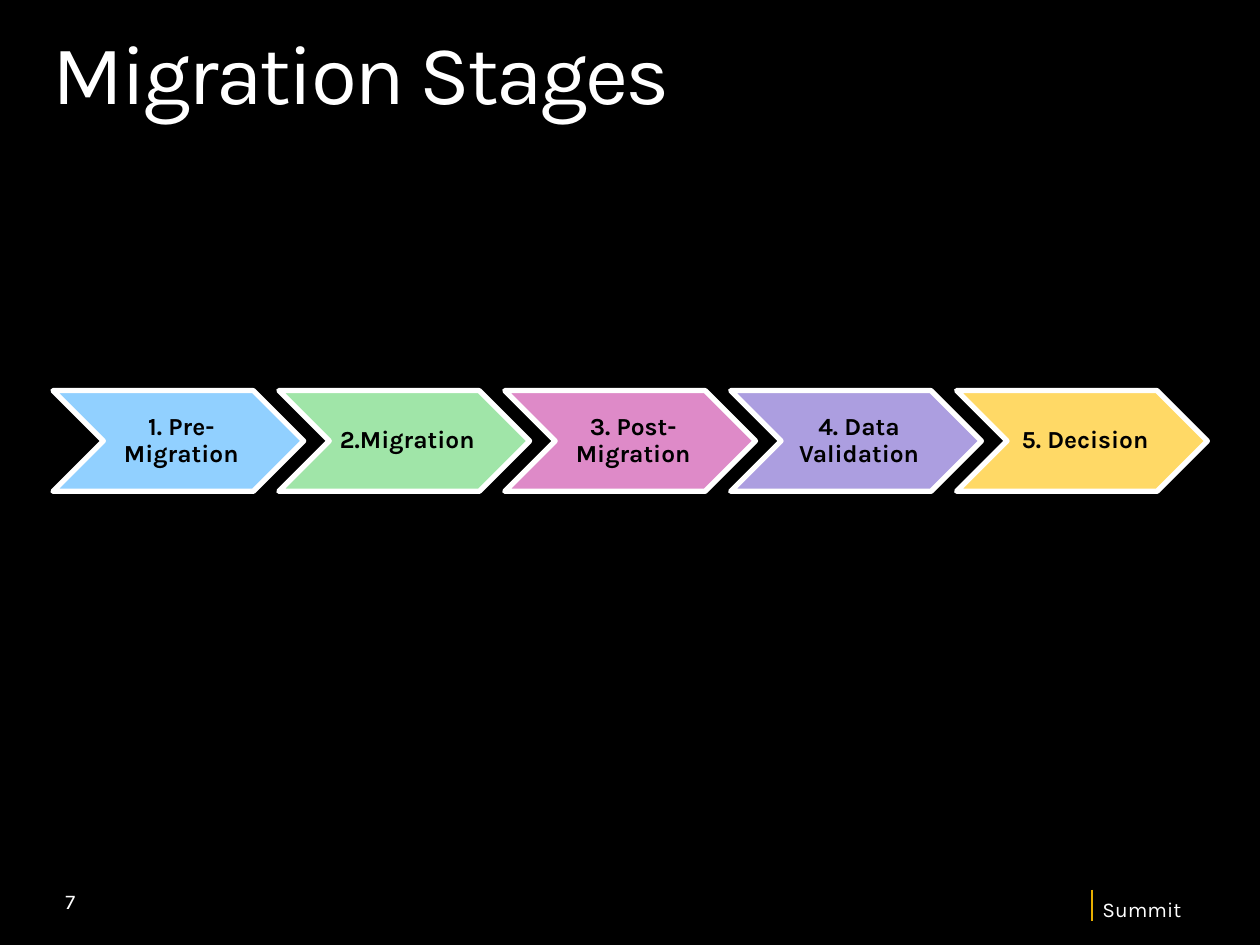
import pptx
import pptx.dml.color
import pptx.enum.shapes
import pptx.enum.text
import pptx.oxml
import pptx.oxml.ns
import pptx.util
from pptx.util import Inches

ANCHOR = pptx.enum.text.MSO_ANCHOR
ALIGN = pptx.enum.text.PP_ALIGN
WHITE, BLACK, GOLD = "FFFFFF", "000000", "E7AE00"


def color(hex_code):
    return pptx.dml.color.RGBColor.from_string(hex_code)


class SlideBuilder:
    font_name = "Karla"

    def __init__(self, page, background):
        self.page = page
        page.background.fill.solid()
        page.background.fill.fore_color.rgb = color(background)

    def text(self, words, left, top, width, height, size=12, ink=WHITE,
             bold=False, align=ALIGN.LEFT, anchor=ANCHOR.TOP,
             insets=(0, 0, 0, 0), line_spacing=0.9, tracking=None):
        box = self.page.shapes.add_textbox(
            Inches(left), Inches(top), Inches(width), Inches(height))
        frame = box.text_frame
        frame.word_wrap = True
        frame.vertical_anchor = anchor
        (frame.margin_left, frame.margin_top,
         frame.margin_right, frame.margin_bottom) = map(Inches, insets)
        para = frame.paragraphs[0]
        para.alignment = align
        para.line_spacing = line_spacing
        span = para.add_run()
        span.text = words
        span.font.name = self.font_name
        span.font.size = pptx.util.Pt(size)
        span.font.bold = bold
        span.font.color.rgb = color(ink)
        if tracking is not None:
            for properties in box.element.iter(pptx.oxml.ns.qn("a:rPr")):
                properties.set("spc", str(int(tracking * 100)))

    def chevron(self, left, top, width, height, fill):
        shape = self.page.shapes.add_shape(
            pptx.enum.shapes.MSO_SHAPE.CHEVRON,
            Inches(left), Inches(top), Inches(width), Inches(height))
        shape.shadow.inherit = False
        shape.fill.solid()
        shape.fill.fore_color.rgb = color(fill)
        shape.line.color.rgb = color(WHITE)
        shape.line.width = pptx.util.Pt(3)
        # Round the outline's corners
        outline = shape.element.spPr.find(pptx.oxml.ns.qn("a:ln"))
        outline.append(pptx.oxml.parse_xml(
            f"<a:round {pptx.oxml.ns.nsdecls('a')}/>"))

    def line(self, x1, y1, x2, y2, ink, weight):
        rule = self.page.shapes.add_connector(
            pptx.enum.shapes.MSO_CONNECTOR.STRAIGHT,
            Inches(x1), Inches(y1), Inches(x2), Inches(y2))
        rule.line.color.rgb = color(ink)
        rule.line.width = pptx.util.Pt(weight)
        rule.element.spPr.append(pptx.oxml.parse_xml(
            f"<a:effectLst {pptx.oxml.ns.nsdecls('a')}/>"))


def main():
    deck = pptx.Presentation()
    deck.slide_width, deck.slide_height = Inches(10), Inches(7.5)
    page = deck.slides.add_slide(deck.slide_layouts[6])
    builder = SlideBuilder(page, BLACK)
    margin = 0.42

    # Footer tag
    builder.text("Summit", 8.75, 7.14, 0.83, 0.18)
    builder.line(8.67, 7.06, 8.67, 7.31, GOLD, 1.25)

    # Title
    builder.text("Migration Stages", margin, 0.25, 9.17, 0.73, size=48,
                 tracking=-1.5)

    # Stages, each overlapping the one before
    stages = [
        ("1. Pre-Migration", "91D0FF"),
        ("2.Migration", "A0E5A8"),
        ("3. Post-Migration", "DE8AC8"),
        ("4. Data Validation", "AC9EE0"),
        ("5. Decision", "FFD966"),
    ]
    top, width, height, pitch = 3.1, 1.99, 0.8, 1.793
    for index, (label, fill) in enumerate(stages):
        left = margin + index * pitch
        builder.chevron(left, top, width, height, fill)
        builder.text(label, left + height / 2, top, 1.2, height, size=14,
                     ink=BLACK, bold=True, align=ALIGN.CENTER,
                     anchor=ANCHOR.MIDDLE, insets=(0.06, 0.02, 0.02, 0.02))

    # Page number
    builder.text("7", margin, 6.95, 2.33, 0.4, anchor=ANCHOR.MIDDLE,
                 insets=(0.1, 0.05, 0.1, 0.05), line_spacing=1.0)

    deck.save("out.pptx")


if __name__ == "__main__":
    main()
